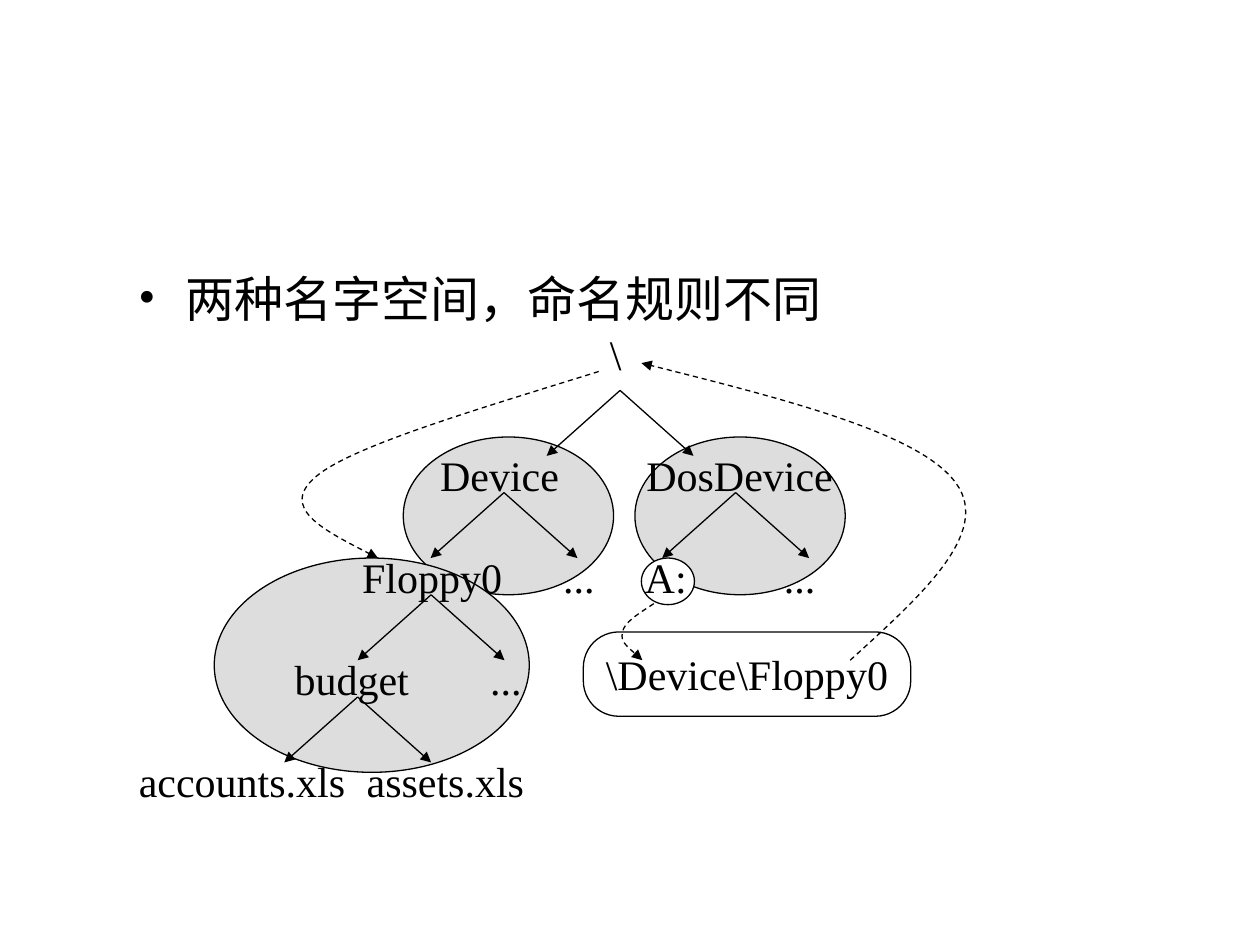
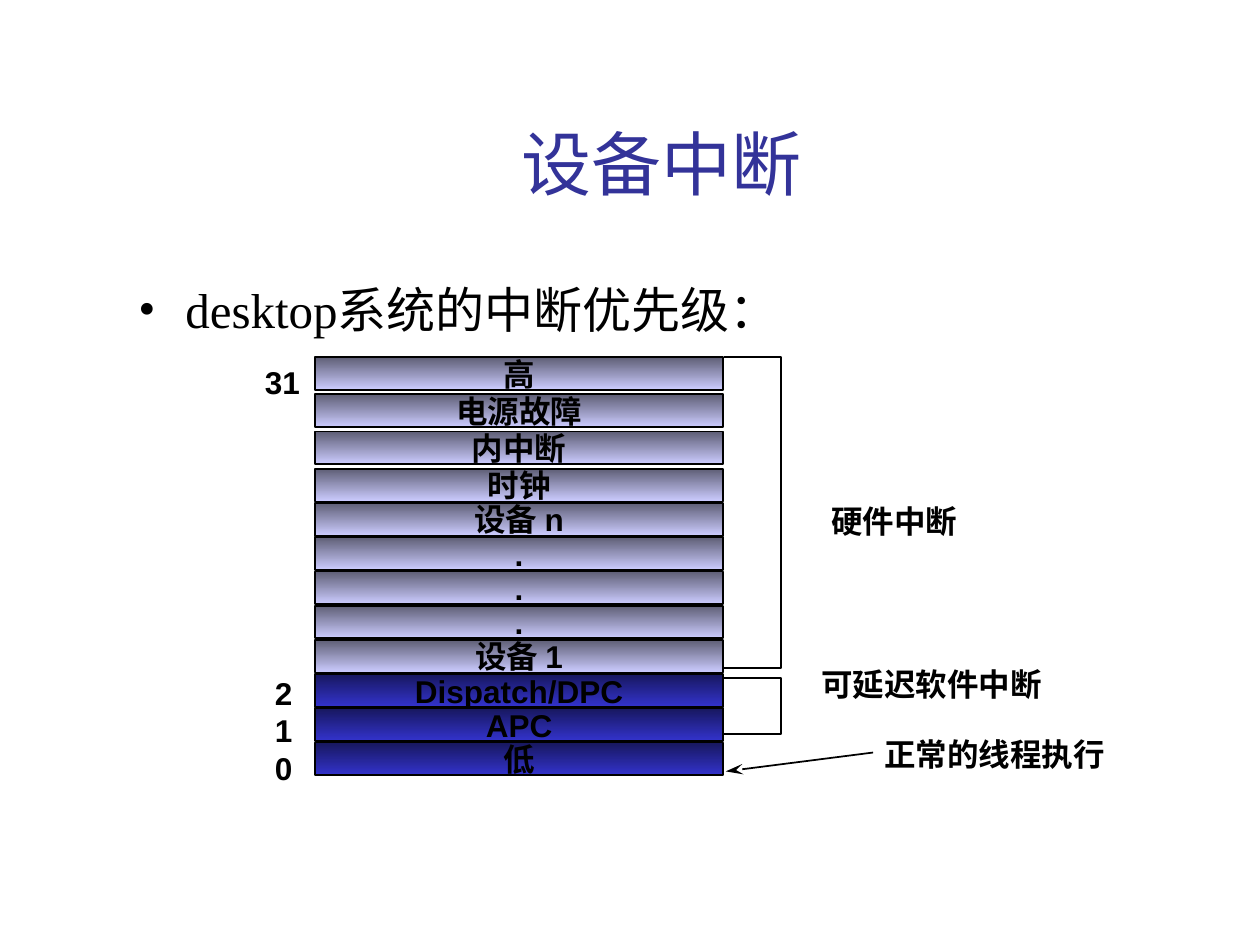
from lxml import etree
from pptx import Presentation
from pptx.dml.color import RGBColor
from pptx.enum.dml import MSO_LINE
from pptx.enum.shapes import MSO_CONNECTOR, MSO_SHAPE
from pptx.enum.text import MSO_ANCHOR, PP_ALIGN
from pptx.oxml.ns import qn
from pptx.util import Cm, Pt

STRAIGHT = MSO_CONNECTOR.STRAIGHT
OVAL, RECTANGLE, ROUNDED = MSO_SHAPE.OVAL, MSO_SHAPE.RECTANGLE, MSO_SHAPE.ROUNDED_RECTANGLE
LEFT, CENTER = PP_ALIGN.LEFT, PP_ALIGN.CENTER
TOP, MIDDLE = MSO_ANCHOR.TOP, MSO_ANCHOR.MIDDLE
DASH = MSO_LINE.DASH

COLORS = {
    "ink": "000000",
    "title": "333399",
    "paper": "FFFFFF",
    "namespace": "DDDDDD",
    "hardware_dark": "5E5E75",
    "hardware_light": "CCCCFF",
    "software_dark": "17175E",
    "software_light": "3333CC",
}
SERIF, SANS, CJK = "Times New Roman", "Arial", "Noto Sans CJK SC"

TITLE_BOX = (2.54, 1.68, 21.59, 3.18)
BODY_BOX = (2.54, 5.51, 20.96, 11.43)
TREE_ORIGIN = (2.54, 6.48)
STACK_ORIGIN = (6.35, 7.2)


def color(name):
    return RGBColor.from_string(COLORS[name])


def write_text(shape, text, size=24, font=SERIF, ink="ink", bold=False, align=CENTER,
               anchor=MIDDLE, wrap=False, bullet=False, line_spacing=None):
    frame = shape.text_frame
    frame.word_wrap = wrap
    frame.vertical_anchor = anchor
    paragraph = frame.paragraphs[0]
    paragraph.alignment = align
    if bullet:
        properties = paragraph._p.get_or_add_pPr()
        properties.set("marL", str(Cm(0.95)))
        properties.set("indent", str(-Cm(0.95)))
        etree.SubElement(properties, qn("a:buFont")).set("typeface", SERIF)
        etree.SubElement(properties, qn("a:buChar")).set("char", "•")
    if line_spacing:
        paragraph.line_spacing = line_spacing
    run = paragraph.add_run()
    run.text = text
    run.font.size = Pt(size)
    run.font.name = font
    run.font.bold = bold
    run.font.color.rgb = color(ink)
    etree.SubElement(run._r.get_or_add_rPr(), qn("a:ea")).set("typeface", CJK)


def add_text(slide, box, text, **text_format):
    shape = slide.shapes.add_textbox(*map(Cm, box))
    write_text(shape, text, **text_format)


def set_line(shape, width=0.75, head=None, head_length="med", dash=None):
    shape.line.color.rgb = color("ink")
    shape.line.width = Pt(width)
    if dash:
        shape.line.dash_style = dash
    if head:
        tail = etree.SubElement(shape.line._get_or_add_ln(), qn("a:tailEnd"))
        tail.set("type", head)
        tail.set("len", head_length)


def add_box(slide, kind, box, fill, width=0.75):
    shape = slide.shapes.add_shape(kind, *map(Cm, box))
    shape.shadow.inherit = False
    if isinstance(fill, tuple):
        shape.fill.gradient()
        shape.fill.gradient_angle = 270
        for stop, name in zip(shape.fill.gradient_stops, fill):
            stop.color.rgb = color(name)
    else:
        shape.fill.solid()
        shape.fill.fore_color.rgb = color(fill)
    set_line(shape, width)
    return shape


def add_arrow(slide, start, end, width=0.75, head="triangle", head_length="med"):
    arrow = slide.shapes.add_connector(STRAIGHT, *map(Cm, start + end))
    set_line(arrow, width, head, head_length)
    etree.SubElement(arrow._element.spPr, qn("a:effectLst"))


def bend(shape):
    outline = next(shape._element.iter(qn("a:path")))
    lines = outline.findall(qn("a:lnTo"))
    for first in range(0, len(lines), 3):
        curve = etree.SubElement(outline, qn("a:cubicBezTo"))
        for line in lines[first:first + 3]:
            curve.append(line[0])
            outline.remove(line)


def add_outline(slide, points, curved=False, **line_format):
    points = [(Cm(x), Cm(y)) for x, y in points]
    builder = slide.shapes.build_freeform(*points[0])
    builder.add_line_segments(points[1:], close=False)
    shape = builder.convert_to_shape()
    if curved:
        bend(shape)
    shape.fill.background()
    shape.shadow.inherit = False
    set_line(shape, **line_format)


def add_title(slide, text):
    add_text(slide, TITLE_BOX, text, size=40, ink="title", wrap=True)


def add_bullet(slide, text, **text_format):
    add_text(slide, BODY_BOX, text, size=28, align=LEFT, anchor=TOP, wrap=True,
             bullet=True, **text_format)


def draw_name_tree(slide, left, top):
    def place(x, y):
        return left + x, top + y

    ellipses = [
        (5.59, 2.33, 4.24, 3.18, "namespace"),
        (1.78, 4.77, 6.35, 4.32, "namespace"),
        (10.26, 2.33, 4.24, 3.18, "namespace"),
        (10.39, 4.77, 1.07, 0.94, "paper"),
    ]
    for x, y, width, height, fill in ellipses:
        add_box(slide, OVAL, place(x, y) + (width, height), fill)

    levels = [
        (0, [("\\", 9.87, 0.8)]),
        (2.44, [("Device", 7.53, 3), ("DosDevice", 12.37, 4.4)]),
        (4.5, [("Floppy0", 6.17, 3.45), ("...", 9.13, 1.25),
               ("A:", 10.88, 1.5), ("...", 13.58, 1.25)]),
        (6.55, [("budget", 4.55, 3), ("...", 7.66, 1.25)]),
        (8.61, [("accounts.xls", 2.34, 4.8), ("assets.xls", 6.44, 3.8)]),
    ]
    for y, names in levels:
        for name, center, width in names:
            add_text(slide, place(center - width / 2, y) + (width, 1.3), name)

    for x, y in [(9.96, 1.39), (7.62, 3.45), (12.29, 3.45), (6.15, 5.51), (4.67, 7.57)]:
        for spread in (-1.48, 1.48):
            add_arrow(slide, place(x, y), place(x + spread, y + 1.32))

    target = add_box(slide, ROUNDED, place(9.22, 6.26) + (6.6, 1.7), "paper")
    target.adjustments[0] = 0.42
    write_text(target, "\\Device\\Floppy0")

    lookups = [
        [(10.64, 5.69), (10.34, 5.89), (10.03, 6.07), (10.01, 6.27),
         (9.96, 6.45), (10.19, 6.63), (10.41, 6.83)],
        [(14.6, 6.83), (16.03, 5.53), (17.45, 4.26), (16.74, 3.27),
         (16.03, 2.26), (13.21, 1.55), (10.39, 0.84)],
        [(9.53, 1.01), (7.06, 1.78), (4.57, 2.51), (3.84, 3.12),
         (3.07, 3.76), (4.09, 4.26), (5.08, 4.77)],
    ]
    for controls in lookups:
        points = [place(x, y) for x, y in controls]
        add_outline(slide, points, curved=True, head="triangle", dash=DASH)


def draw_interrupt_stack(slide, left, top):
    def place(x, y):
        return left + x, top + y

    label = {"size": 18, "font": SANS, "bold": True}
    hardware = ["高", "电源故障", "内中断", "时钟", "设备 n", ".", ".", ".", "设备 1"]
    software = ["Dispatch/DPC", "APC", "低"]
    loose_rows, loose_step, tight_step = 3, 0.75, 0.69
    for row, name in enumerate(hardware + software):
        y = min(row, loose_rows) * loose_step + max(row - loose_rows, 0) * tight_step
        kind = "hardware" if row < len(hardware) else "software"
        level = add_box(slide, RECTANGLE, place(0, y) + (8.23, 0.66),
                        (f"{kind}_dark", f"{kind}_light"), width=1)
        write_text(level, name, **label)

    notes = [
        ("31", -1.26, 0, 1.22),
        ("2", -1.06, 6.27, 0.86),
        ("1", -1.06, 7.01, 0.86),
        ("0", -1.06, 7.77, 0.86),
        ("硬件中断", 10.16, 2.8, 3.05),
        ("可延迟软件中断", 9.96, 6.09, 4.95),
        ("正常的线程执行", 11.23, 7.5, 4.95),
    ]
    for text, x, y, width in notes:
        add_text(slide, place(x, y) + (width, 1.02), text, align=LEFT, anchor=TOP, **label)

    add_arrow(slide, place(11.25, 7.97), place(8.28, 8.35), width=1,
              head="stealth", head_length="lg")
    near, far = 8.24, 9.4
    for upper, lower in [(6.47, 7.6), (0, 6.27)]:
        corners = [(near, upper), (far, upper), (far, lower), (near, lower)]
        add_outline(slide, [place(x, y) for x, y in corners], width=1)


def build_namespace_slide(slide):
    add_bullet(slide, "两种名字空间，命名规则不同", font=CJK, line_spacing=0.8)
    draw_name_tree(slide, *TREE_ORIGIN)


def build_interrupt_slide(slide):
    add_title(slide, "设备中断")
    add_bullet(slide, "desktop系统的中断优先级：")
    draw_interrupt_stack(slide, *STACK_ORIGIN)


def main():
    presentation = Presentation()
    presentation.slide_width, presentation.slide_height = Cm(25.4), Cm(19.05)
    blank = presentation.slide_layouts[6]
    for build in (build_namespace_slide, build_interrupt_slide):
        build(presentation.slides.add_slide(blank))
    presentation.save("out.pptx")


if __name__ == "__main__":
    main()
